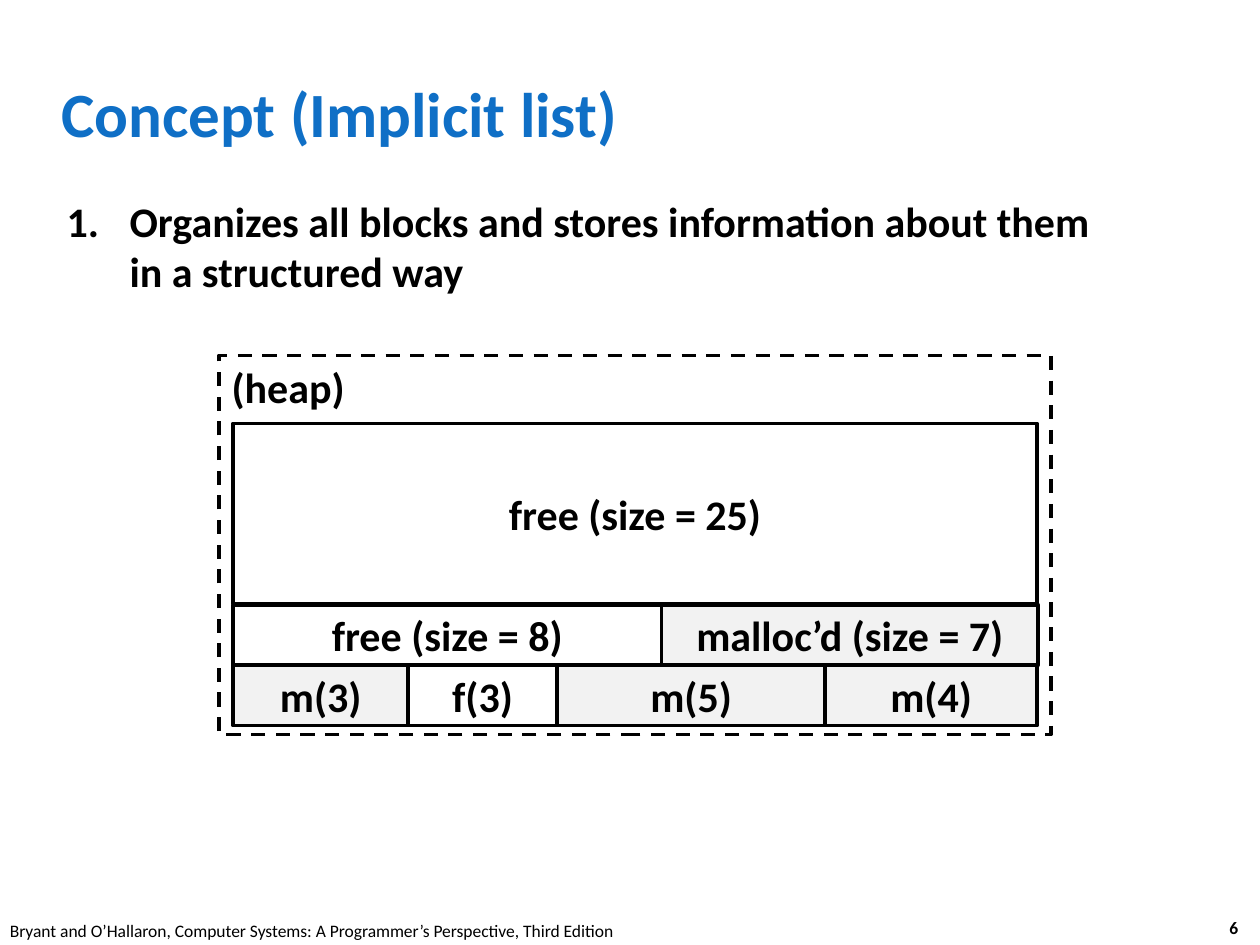
import pptx
import pptx.dml.color
import pptx.enum.dml
import pptx.enum.shapes
import pptx.enum.text
import pptx.oxml
import pptx.util
from pptx.util import Inches

ALIGN = pptx.enum.text.PP_ALIGN
ANCHOR = pptx.enum.text.MSO_ANCHOR

BLACK = "000000"
FREE = "FFFFFF"
ALLOCATED = "F2F2F2"


def color(hex_value):
    return pptx.dml.color.RGBColor.from_string(hex_value)


class SlideBuilder:
    font = "Calibri"

    def __init__(self, slide):
        self.slide = slide

    def set_text(self, shape, text, size=24, bold=True, ink=BLACK,
                 align=ALIGN.LEFT, anchor=ANCHOR.TOP, wrap=True):
        frame = shape.text_frame
        frame.word_wrap = wrap
        frame.vertical_anchor = anchor
        frame.text = text
        paragraph = frame.paragraphs[0]
        paragraph.alignment = align
        run_font = paragraph.runs[0].font
        run_font.name = self.font
        run_font.size = pptx.util.Pt(size)
        run_font.bold = bold
        run_font.color.rgb = color(ink)
        return paragraph

    def text(self, left, top, width, height, text, **style):
        box = self.slide.shapes.add_textbox(
            Inches(left), Inches(top), Inches(width), Inches(height))
        return self.set_text(box, text, **style)

    def numbered(self, left, top, width, height, text):
        """Add a paragraph that opens an automatic 1., 2., 3. list."""
        paragraph = self.text(left, top, width, height, text)
        paragraph.space_before = pptx.util.Pt(4.8)
        properties = paragraph._p.get_or_add_pPr()
        properties.set("marL", str(Inches(0.5)))
        properties.set("indent", str(Inches(-0.5)))
        number = pptx.oxml.parse_xml(
            '<a:buAutoNum xmlns:a="http://schemas.openxmlformats.org/'
            'drawingml/2006/main" type="arabicPeriod"/>')
        properties.append(number)

    def rectangle(self, group, left, top, width, height, text,
                  fill=None, dashed=False, **style):
        block = group.shapes.add_shape(
            pptx.enum.shapes.MSO_SHAPE.RECTANGLE,
            Inches(left), Inches(top), Inches(width), Inches(height))
        block.shadow.inherit = False
        if fill:
            block.fill.solid()
            block.fill.fore_color.rgb = color(fill)
        else:
            block.fill.background()
        block.line.color.rgb = color(BLACK)
        block.line.width = pptx.util.Pt(2)
        if dashed:
            block.line.dash_style = pptx.enum.dml.MSO_LINE.DASH
        self.set_text(block, text, **style)

    def heap(self, left, rows):
        """Draw rows of touching blocks inside the dashed heap outline."""
        group = self.slide.shapes.add_group_shape()
        self.rectangle(group, 1.74, 2.82, 6.6, 3.01, "(heap)", dashed=True)
        for top, height, blocks in rows:
            block_left = left
            for label, width, fill in blocks:
                self.rectangle(group, block_left, top, width, height, label,
                               fill=fill, align=ALIGN.CENTER,
                               anchor=ANCHOR.MIDDLE)
                block_left += width


def main():
    presentation = pptx.Presentation()
    presentation.slide_width = Inches(10)
    presentation.slide_height = Inches(7.5)
    builder = SlideBuilder(
        presentation.slides.add_slide(presentation.slide_layouts[6]))

    builder.text(9.66, 7.23, 0.37, 0.27, "6", size=10, wrap=False)
    builder.text(-0.02, 7.25, 5.08, 0.27,
                 "Bryant and O’Hallaron, Computer Systems: "
                 "A Programmer’s Perspective, Third Edition",
                 size=10, bold=False, wrap=False)
    builder.text(0.39, 0.48, 8.3, 0.83, "Concept (Implicit list)",
                 size=36, ink="0F6FC6", anchor=ANCHOR.MIDDLE)
    builder.numbered(0.43, 1.5, 8.64, 5.44,
                     "Organizes all blocks and stores information "
                     "about them in a structured way")

    builder.heap(1.85, [
        (3.36, 1.43, [("free (size = 25)", 6.38, None)]),
        (4.8, 0.48, [("free (size = 8)", 3.4, FREE),
                     ("malloc’d (size = 7)", 2.99, ALLOCATED)]),
        (5.28, 0.48, [("m(3)", 1.39, ALLOCATED),
                      ("f(3)", 1.18, FREE),
                      ("m(5)", 2.13, ALLOCATED),
                      ("m(4)", 1.68, ALLOCATED)]),
    ])

    presentation.save("out.pptx")


if __name__ == "__main__":
    main()
